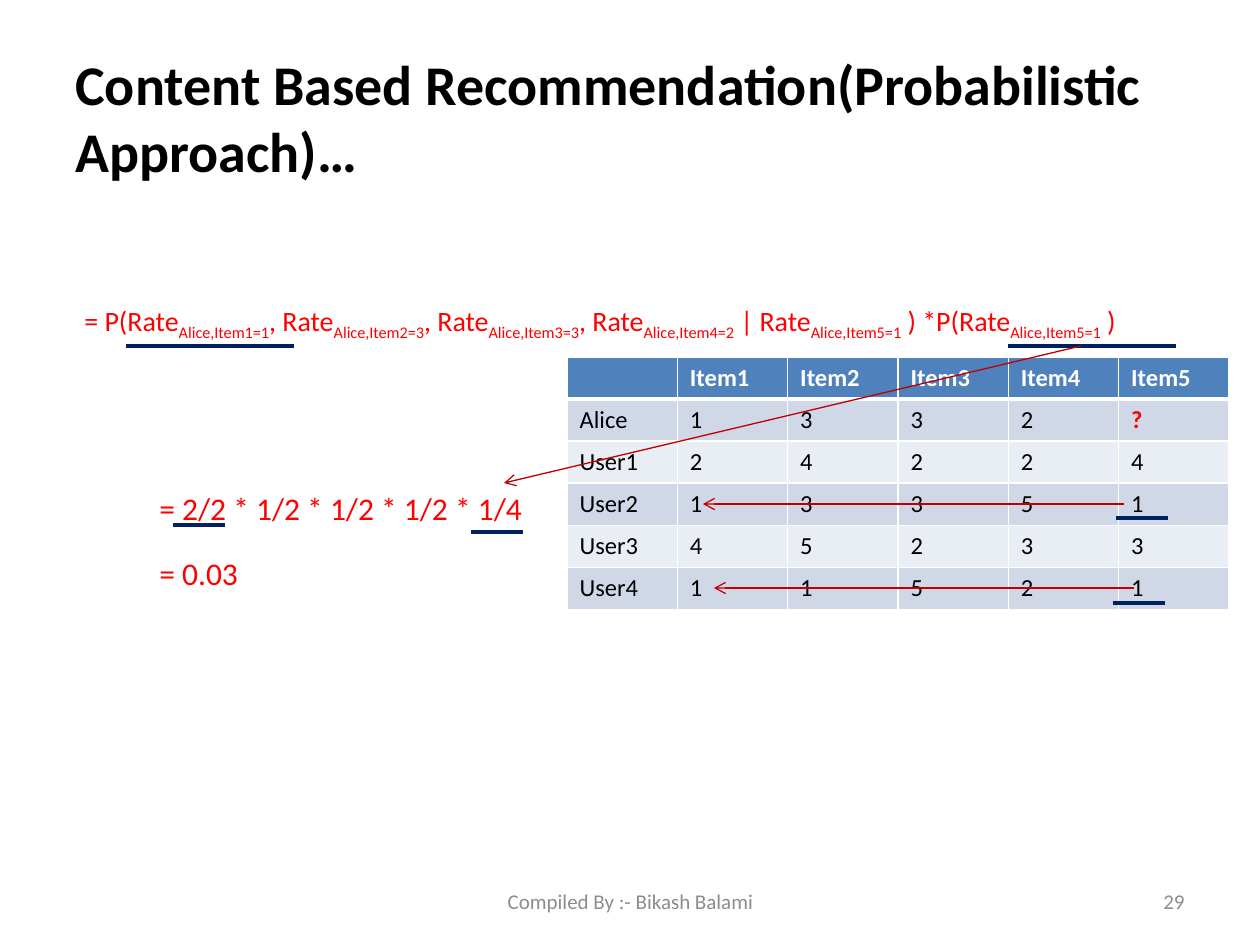
"""Build the slide on content based recommendation with a probabilistic approach."""
import pptx
import pptx.dml.color
import pptx.enum.shapes
import pptx.enum.text
import pptx.oxml
import pptx.oxml.ns
import pptx.util

THEME = {
    "font": "Calibri",
    "colors": {
        "black": "000000", "white": "FFFFFF", "gray": "8C8C8C", "red": "FF0000",
        "navy": "002060", "crimson": "C00000",
        "header": "4F81BD", "odd": "D0D8E8", "even": "E9EDF4",
    },
    "sizes": {"title": 32, "formula": 16, "result": 18, "table": 14, "footer": 12},
}
ALIGN = pptx.enum.text.PP_ALIGN
ANCHOR = pptx.enum.text.MSO_ANCHOR
AUTO = pptx.enum.text.MSO_AUTO_SIZE

FORMULA = [
    ("= P(Rate", "Alice,Item1=1"), (", Rate", "Alice,Item2=3"), (", Rate", "Alice,Item3=3"),
    (", Rate", "Alice,Item4=2"), (" | Rate", "Alice,Item5=1"), (" ) *P(Rate", "Alice,Item5=1"),
    (" )", ""),
]
FRAMED = {"word_wrap": True, "vertical_anchor": ANCHOR.MIDDLE}
FITTED = {"word_wrap": False, "auto_size": AUTO.SHAPE_TO_FIT_TEXT}
TEXTS = [
    ((63, 38, 1134, 157), [("Content Based Recommendation(Probabilistic Approach)…", "")],
     "title", "black", ALIGN.LEFT, FRAMED),
    ((431, 876, 399, 50), [("Compiled By :- Bikash Balami", "")],
     "footer", "gray", ALIGN.CENTER, FRAMED),
    ((903, 876, 294, 50), [("29", "")], "footer", "gray", ALIGN.RIGHT, FRAMED),
    ((72, 297, 1150, 47), FORMULA, "formula", "red", ALIGN.LEFT, FITTED),
    ((147, 483, 401, 50), [("= 2/2 * 1/2 * 1/2 * 1/2 * 1/4", "")],
     "result", "red", ALIGN.LEFT, FITTED),
    ((147, 548, 105, 50), [("= 0.03", "")], "result", "red", ALIGN.LEFT, FITTED),
]
RATINGS_BOX = (567, 357, 662, 252)
RATINGS = [
    ["", "Item1", "Item2", "Item3", "Item4", "Item5"],
    ["Alice", "1", "3", "3", "2", "?"],
    ["User1", "2", "4", "2", "2", "4"],
    ["User2", "1", "3", "3", "5", "1"],
    ["User3", "4", "5", "2", "3", "3"],
    ["User4", "1", "1", "5", "2", "1"],
]
UNDERLINES = [
    (126, 346, 168), (1116, 518, 52), (1113, 603, 52),
    (173, 525, 52), (471, 532, 52), (1008, 346, 168),
]
ARROWS = [(1124, 504, 703, 504), (1134, 588, 714, 588), (1081, 346, 504, 483)]


def px(*values):
    return [pptx.util.Emu(round(v * 914400 / 126)) for v in values]


def color(name):
    return pptx.dml.color.RGBColor.from_string(THEME["colors"][name])


def element(tag, attributes="", content=""):
    ns = pptx.oxml.ns.nsdecls("a")
    return pptx.oxml.parse_xml(f"<a:{tag} {ns} {attributes}>{content}</a:{tag}>")


def add_run(p, text, size, tint, bold=False):
    r = p.add_run()
    r.text = text
    values = {"name": THEME["font"], "size": pptx.util.Pt(THEME["sizes"][size]), "bold": bold}
    for key, value in values.items():
        setattr(r.font, key, value)
    r.font.color.rgb = color(tint)
    return r


def add_text(s, box, parts, size, tint, align, frame):
    tf = s.shapes.add_textbox(*px(*box)).text_frame
    for key, value in frame.items():
        setattr(tf, key, value)
    p = tf.paragraphs[0]
    p.alignment = align
    for base, subscript in parts:
        add_run(p, base, size, tint, size == "title")
        if subscript:
            r = add_run(p, subscript, size, tint)
            r.font._element.set("baseline", "-25000")


def add_borders(cell, header):
    tc_pr = cell._tc.get_or_add_tcPr()
    line = f'<a:solidFill><a:srgbClr val="{THEME["colors"]["white"]}"/></a:solidFill>'
    for side in "LRTB":
        width = pptx.util.Pt(3 if header and side == "B" else 1)
        tc_pr.append(element(f"ln{side}", f'w="{width}"', line))


def add_ratings(s):
    table = s.shapes.add_table(len(RATINGS), len(RATINGS[0]), *px(*RATINGS_BOX)).table
    for i, row in enumerate(RATINGS):
        fill = "header" if i == 0 else "odd" if i % 2 else "even"
        for j, text in enumerate(row):
            cell = table.cell(i, j)
            add_borders(cell, i == 0)
            cell.fill.solid()
            cell.fill.fore_color.rgb = color(fill)
            tint = "white" if i == 0 else "red" if text == "?" else "black"
            p = cell.text_frame.paragraphs[0]
            if text:
                add_run(p, text, "table", tint, tint != "black")
            else:
                p._p.append(element("endParaRPr", f'sz="{THEME["sizes"]["table"] * 100}"'))


def add_line(s, ends, tint, width, arrow=False):
    sp = s.shapes.add_connector(pptx.enum.shapes.MSO_CONNECTOR.STRAIGHT, *px(*ends))
    sp.line.color.rgb = color(tint)
    sp.line.width = pptx.util.Pt(width)
    if arrow:
        sp.line._get_or_add_ln().append(element("tailEnd", 'type="arrow"'))
    sp._element.spPr.append(element("effectLst"))


def main():
    prs = pptx.Presentation()
    prs.slide_width, prs.slide_height = px(1260, 945)
    s = prs.slides.add_slide(prs.slide_layouts[6])
    for text in TEXTS:
        add_text(s, *text)
    add_ratings(s)
    for x, y, length in UNDERLINES:
        add_line(s, (x, y, x + length, y), "navy", 2.25)
    for ends in ARROWS:
        add_line(s, ends, "crimson", 0.75, arrow=True)
    prs.save("out.pptx")


if __name__ == "__main__":
    main()
